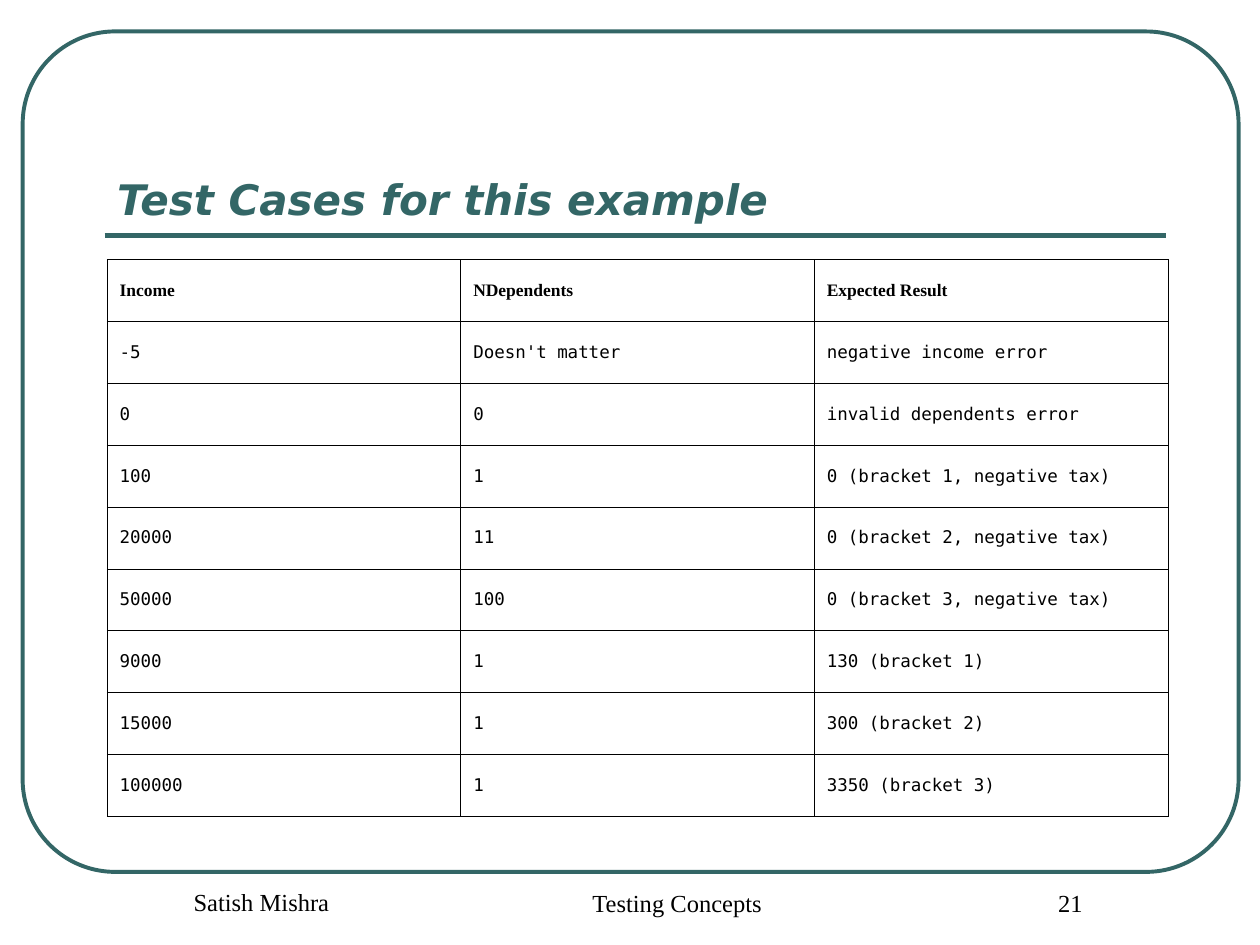
import dataclasses

import lxml.etree
import pptx
import pptx.dml.color
import pptx.enum.shapes
import pptx.enum.text
import pptx.oxml.ns
import pptx.util

Inches = pptx.util.Inches
Pt = pptx.util.Pt
ALIGN = pptx.enum.text.PP_ALIGN
ANCHOR = pptx.enum.text.MSO_ANCHOR
qn = pptx.oxml.ns.qn


@dataclasses.dataclass(frozen=True)
class Theme:
    teal: str = "336666"
    black: str = "000000"
    sans: str = "DejaVu Sans"
    serif: str = "Times New Roman"
    mono: str = "DejaVu Sans Mono"
    title_size: float = 24
    footer_size: float = 14
    table_size: float = 10
    frame_width: float = 2.25
    rule_width: float = 3
    border_width: float = 0.34


THEME = Theme()

TEST_CASES = [
    ("Income", "NDependents", "Expected Result"),
    ("-5", "Doesn't matter", "negative income error"),
    ("0", "0", "invalid dependents error"),
    ("100", "1", "0 (bracket 1, negative tax)"),
    ("20000", "11", "0 (bracket 2, negative tax)"),
    ("50000", "100", "0 (bracket 3, negative tax)"),
    ("9000", "1", "130 (bracket 1)"),
    ("15000", "1", "300 (bracket 2)"),
    ("100000", "1", "3350 (bracket 3)"),
]

# Text, left, top, width in inches
FOOTERS = [
    ("Testing Concepts", 3.67, 7, 3.17),
    ("21", 7.5, 7, 1.75),
    ("Satish Mishra", 0.83, 6.99, 2.25),
]


def rgb(value):
    return pptx.dml.color.RGBColor.from_string(value)


def apply_format(target, values):
    for name, value in values.items():
        setattr(target, name, value)


def write_text(frame, text, color, align=ALIGN.LEFT, indent=(0, 0), **font):
    """Write one paragraph; indent is left margin and first line, in inches."""
    para = frame.paragraphs[0]
    para.alignment = align
    margin, first = indent
    if margin:
        properties = para._p.get_or_add_pPr()
        properties.set("marL", str(Inches(margin)))
        properties.set("indent", str(Inches(first)))
    span = para.add_run()
    span.text = text
    apply_format(span.font, font)
    span.font.color.rgb = rgb(color)


def add_frame(page):
    frame = page.shapes.add_shape(
        pptx.enum.shapes.MSO_SHAPE.ROUNDED_RECTANGLE,
        Inches(0.18), Inches(0.25), Inches(9.65), Inches(6.67))
    frame.adjustments[0] = 0.11
    frame.shadow.inherit = False
    frame.fill.background()
    apply_format(frame.line, {"width": Pt(THEME.frame_width)})
    frame.line.color.rgb = rgb(THEME.teal)


def add_rule(page):
    rule = page.shapes.add_connector(
        pptx.enum.shapes.MSO_CONNECTOR.STRAIGHT,
        Inches(0.83), Inches(1.87), Inches(9.25), Inches(1.87))
    rule.line.width = Pt(THEME.rule_width)
    rule.line.color.rgb = rgb(THEME.teal)
    lxml.etree.SubElement(rule._element.spPr, qn("a:effectLst"))


def add_title(page, text):
    title = page.shapes.title
    apply_format(title, {"left": Inches(0.83), "top": Inches(0.58),
                         "width": Inches(8.42), "height": Inches(1.25)})
    apply_format(title.text_frame, {
        "vertical_anchor": ANCHOR.BOTTOM, "word_wrap": True,
        "auto_size": pptx.enum.text.MSO_AUTO_SIZE.NONE})
    write_text(title.text_frame, text, THEME.teal, name=THEME.sans,
               size=Pt(THEME.title_size), bold=True, italic=True)


def add_borders(cell):
    properties = cell._tc.get_or_add_tcPr()
    for position, side in enumerate(("lnL", "lnR", "lnT", "lnB")):
        line = lxml.etree.Element(
            qn(f"a:{side}"), w=str(Pt(THEME.border_width)))
        fill = lxml.etree.SubElement(line, qn("a:solidFill"))
        lxml.etree.SubElement(fill, qn("a:srgbClr"), val=THEME.black)
        properties.insert(position, line)


def add_test_table(page, rows):
    table = page.shapes.add_table(
        len(rows), len(rows[0]),
        Inches(0.85), Inches(2.06), Inches(8.42), Inches(4.42)).table
    apply_format(table, {"first_row": False, "horz_banding": False})
    for row_number, row in enumerate(rows):
        header = row_number == 0
        for column_number, text in enumerate(row):
            cell = table.cell(row_number, column_number)
            cell.vertical_anchor = ANCHOR.MIDDLE
            cell.fill.background()
            add_borders(cell)
            write_text(cell.text_frame, text, THEME.black,
                       indent=(0.42, -0.42), bold=header,
                       name=THEME.serif if header else THEME.mono,
                       size=Pt(THEME.table_size))


def add_footer(page, text, left, top, width):
    box = page.shapes.add_textbox(
        Inches(left), Inches(top), Inches(width), Inches(0.5))
    box.text_frame.word_wrap = True
    write_text(box.text_frame, text, THEME.black, align=ALIGN.CENTER,
               indent=(0.24, 0), name=THEME.serif, size=Pt(THEME.footer_size))


def main():
    deck = pptx.Presentation()
    apply_format(deck, {"slide_width": Inches(10),
                        "slide_height": Inches(7.5)})
    page = deck.slides.add_slide(deck.slide_layouts[5])

    # Decoration and title
    add_frame(page)
    add_rule(page)
    add_title(page, "Test Cases for this example")

    # Test cases
    add_test_table(page, TEST_CASES)

    # Footer line
    for footer in FOOTERS:
        add_footer(page, *footer)

    deck.save("out.pptx")


if __name__ == "__main__":
    main()
